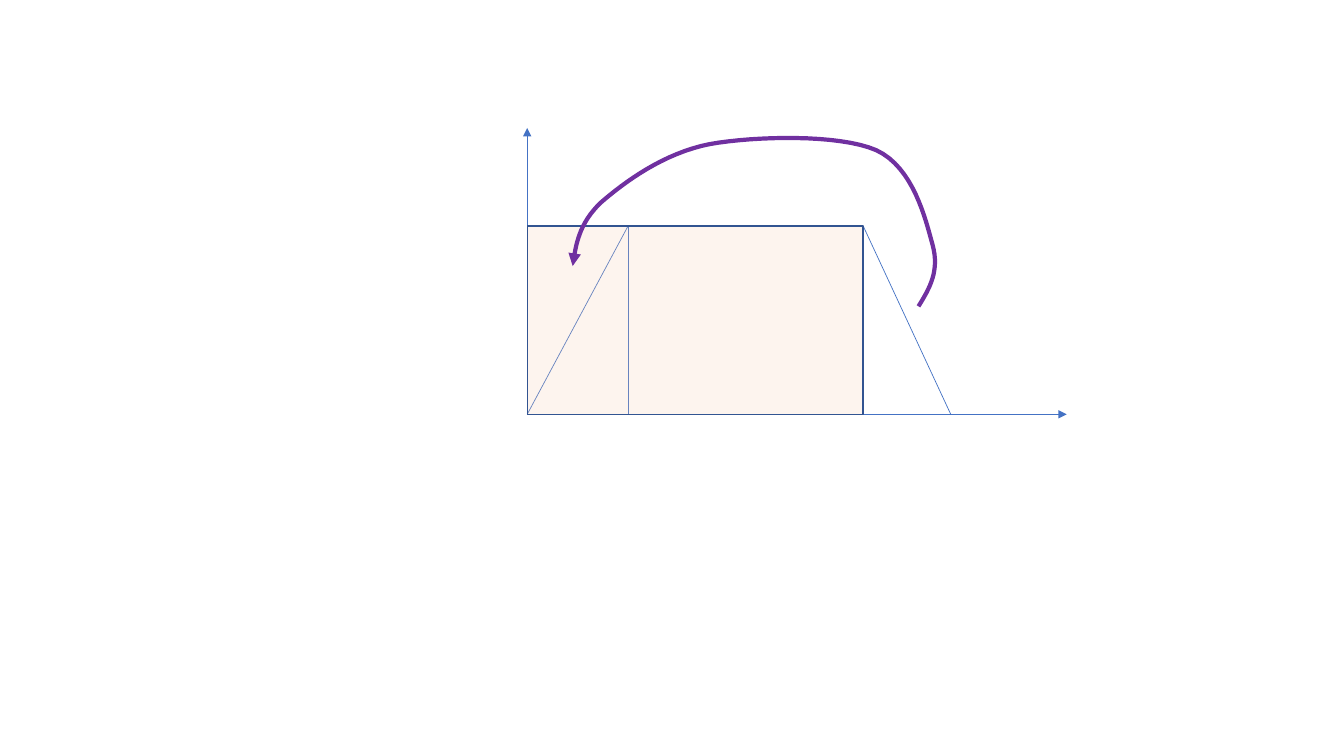
from lxml import etree
from pptx import Presentation
from pptx import util as u
from pptx.dml.color import RGBColor
from pptx.enum import shapes
from pptx.oxml.ns import qn

COLORS = {"line": "4472C4", "fill": "F8CBAD", "border": "325491", "move": "7030A0"}

prs = Presentation()
prs.slide_width, prs.slide_height = u.Inches(13.33), u.Inches(7.5)
s = prs.slides.add_slide(prs.slide_layouts[6])


def at(x, y):
    """Point given in percent of the slide's width and height."""
    return round(prs.slide_width * x / 100), round(prs.slide_height * y / 100)


def style_line(sp, color, width, arrow=False):
    sp.line.color.rgb = RGBColor.from_string(COLORS[color])
    sp.line.width = u.Pt(width)
    if arrow:
        etree.SubElement(sp.line._get_or_add_ln(), qn("a:tailEnd"), type="triangle")


# Corners of the trapezoid and ends of the axes
left, foot, right, far = 39.23, 46.74, 64.22, 70.74
base, top = 54.8, 29.87
axis_x, axis_y = 79.37, 16.93

# Trapezoid sides, axes and heights
lines = [
    ((left, base), (foot, top), False),
    ((foot, top), (right, top), False),
    ((far, base), (right, top), False),
    ((left, base), (left, axis_y), True),
    ((left, base), (axis_x, base), True),
    ((foot, top), (foot, base), False),
    ((right, top), (right, base), False),
]
for start, end, arrow in lines:
    cn = s.shapes.add_connector(shapes.MSO_CONNECTOR.STRAIGHT, *at(*start), *at(*end))
    style_line(cn, "line", 0.5, arrow)
    etree.SubElement(cn._element.spPr, qn("a:effectLst"))

# Rectangle of equal area
x0, y0 = at(left, top)
x1, y1 = at(right, base)
sp = s.shapes.add_shape(shapes.MSO_SHAPE.RECTANGLE, x0, y0, x1 - x0, y1 - y0)
sp.shadow.inherit = False
sp.fill.solid()
sp.fill.fore_color.rgb = RGBColor.from_string(COLORS["fill"])
clr = sp._element.spPr.find(qn("a:solidFill")).find(qn("a:srgbClr"))
etree.SubElement(clr, qn("a:alpha"), val="20000")
style_line(sp, "border", 1)

# Curved arrow moving the right triangle to the left: chained cubic curves
knots = [
    (68.34, 40.53), (69.17, 38.13), (69.92, 35.87),
    (69.39, 32.4), (68.87, 29.07), (67.97, 22.13),
    (65.19, 19.87), (62.42, 17.73), (56.19, 18),
    (52.81, 19.07), (49.36, 20.27), (46.44, 24.13),
    (44.71, 26.8), (43.06, 29.6), (42.84, 32.4),
    (42.61, 35.2),
]
steps = 16
curve = []
for i in range(0, len(knots) - 1, 3):
    for k in range(1, steps + 1):
        t = k / steps
        weights = ((1 - t) ** 3, 3 * t * (1 - t) ** 2, 3 * t * t * (1 - t), t ** 3)
        x, y = (sum(w * p[axis] for w, p in zip(weights, knots[i:i + 4])) for axis in (0, 1))
        curve.append(at(x, y))
fb = s.shapes.build_freeform(*at(*knots[0]))
fb.add_line_segments(curve, close=False)
sp = fb.convert_to_shape()
sp.shadow.inherit = False
sp.fill.background()
style_line(sp, "move", 3, arrow=True)

prs.save("out.pptx")
